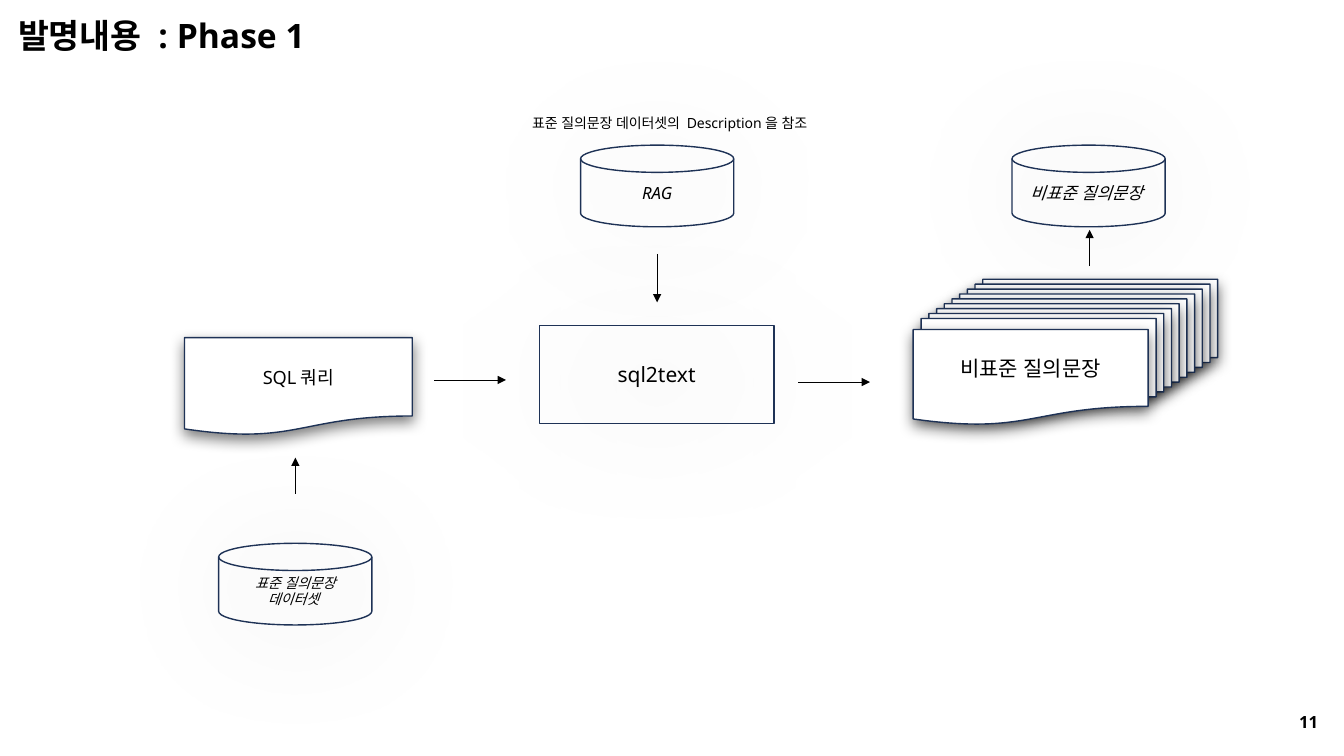
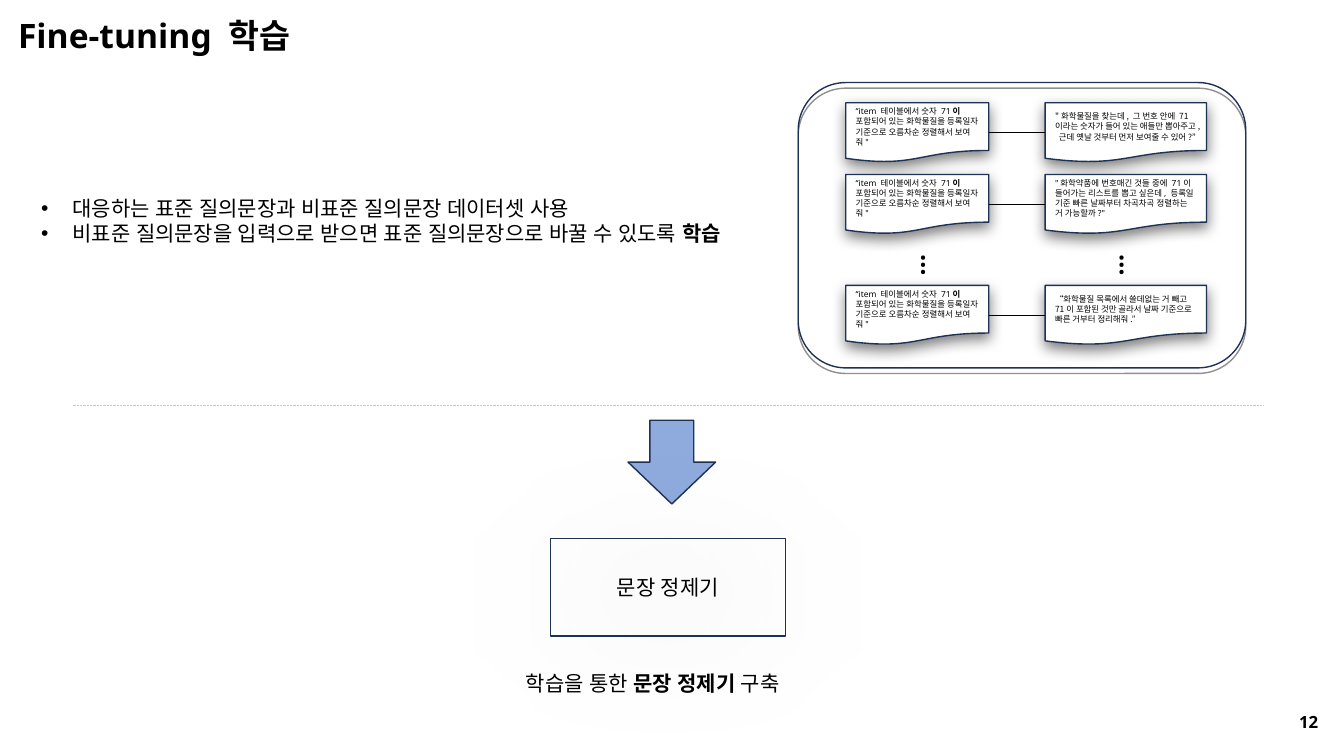
from pptx import Presentation
from pptx.dml.color import RGBColor
from pptx.enum.dml import MSO_LINE
from pptx.enum.shapes import MSO_CONNECTOR, MSO_SHAPE
from pptx.enum.text import MSO_ANCHOR, PP_ALIGN
from pptx.oxml.ns import qn
from pptx.util import Pt
from lxml.etree import SubElement

INK, NAVY, PAPER, ARROW_BLUE, RULE_GREY = "000000", "1E3256", "FFFFFF", "8FAADC", "C9C9C9"
SANS, CJK = "Noto Sans", "Noto Sans CJK KR"
HALO, DROP, EDGE = (43, 100), (50, 10), (43, 0)
DISK_SIZE, BOX_SIZE = (109.4, 58.3), (167.8, 69.8)

STANDARD_QUERY = [
    ("“item 테이블에서 숫자 71", False),
    ("이 ", True),
    ("포함되어 있는 화학물질을 등록일자 기준으로 오름차순 정렬해서 보여줘\"", False),
]
TRAINING_PAIRS = [
    (14.4, CJK, "\"화학물질을 찾는데, 그 번호 안에 71이라는 숫자가 들어 있는 애들만 뽑아주고, "
                "근데 옛날 것부터 먼저 보여줄 수 있어?”"),
    (65.6, SANS, "\"화학약품에 번호매긴 것들 중에 71이 들어가는 리스트를 뽑고 싶은데, "
                 "등록일 기준 빠른 날짜부터 차곡차곡 정렬하는 거 가능할까?\""),
    (144.8, CJK, "“화학물질 목록에서 쓸데없는 거 빼고  71이 포함된 것만 골라서 "
                 "날짜 기준으로 빠른 거부터 정리해줘.”"),
]


def color(value):
    return RGBColor.from_string(value)


def write(frame, paragraphs, size, align=PP_ALIGN.LEFT, font=SANS, bold=False, italic=False):
    for index, runs in enumerate(paragraphs):
        paragraph = frame.paragraphs[0] if index == 0 else frame.add_paragraph()
        paragraph.alignment = align
        for words, strong in [(runs, bold)] if isinstance(runs, str) else runs:
            run = paragraph.add_run()
            run.text = words
            formats = {"name": font, "size": Pt(size), "bold": strong, "italic": italic}
            for key, value in formats.items():
                setattr(run.font, key, value)
            run.font.color.rgb = color(INK)
            SubElement(run.font._element, qn("a:ea"), typeface=font)


def add_text(slide, box, paragraphs, size, wrap=True, **style):
    frame = slide.shapes.add_textbox(*map(Pt, box)).text_frame
    frame.word_wrap = wrap
    write(frame, paragraphs, size, **style)
    return frame


def add_figure(slide, preset, box, fill=None, shadow=None, paragraphs=(), size=15,
               align=PP_ALIGN.CENTER, **style):
    figure = slide.shapes.add_shape(preset, *map(Pt, box))
    figure.shadow.inherit = False
    if fill:
        figure.fill.solid()
        figure.fill.fore_color.rgb = color(fill)
    else:
        figure.fill.background()
    figure.line.color.rgb = color(NAVY)
    figure.line.width = Pt(1)
    if shadow:
        opacity, blur = shadow
        effects = figure._element.spPr.find(qn("a:effectLst"))
        outer = SubElement(effects, qn("a:outerShdw"), blurRad=str(Pt(blur)), dist=str(Pt(4)),
                           dir="5400000", algn="ctr", rotWithShape="0")
        tone = SubElement(outer, qn("a:srgbClr"), val=INK)
        SubElement(tone, qn("a:alpha"), val=str(opacity * 1000))
    figure.text_frame.word_wrap = True
    figure.text_frame.vertical_anchor = MSO_ANCHOR.MIDDLE
    write(figure.text_frame, paragraphs, size, align, **style)


def add_disk(slide, left, top, paragraphs, size):
    add_figure(slide, MSO_SHAPE.FLOWCHART_MAGNETIC_DISK, (left, top, *DISK_SIZE),
               shadow=HALO, paragraphs=paragraphs, size=size, italic=True)


def add_document(slide, box, paragraphs=(), size=15, **style):
    add_figure(slide, MSO_SHAPE.FLOWCHART_DOCUMENT, box, PAPER, DROP, paragraphs, size, **style)


def add_process(slide, left, top, label):
    add_figure(slide, MSO_SHAPE.RECTANGLE, (left, top, *BOX_SIZE), shadow=HALO, paragraphs=[label])


def add_line(slide, start, end, tone=INK, arrow=False, dash=None):
    link = slide.shapes.add_connector(MSO_CONNECTOR.STRAIGHT, *map(Pt, (*start, *end)))
    link.line.color.rgb = color(tone)
    link.line.width = Pt(0.5)
    if dash:
        link.line.dash_style = dash
    if arrow:
        SubElement(link.line._get_or_add_ln(), qn("a:tailEnd"), type="triangle")
    SubElement(link._element.spPr, qn("a:effectLst"))


def add_document_stack(slide, left, top, label):
    width, height = BOX_SIZE
    for depth in range(9, 0, -1):
        add_document(slide, (left + 2.5 + 5.5 * (depth - 1) + 3.2, top - 5.9 - 3.5 * (depth - 1) - 2,
                             width, height))
    add_document(slide, (left, top, width, 68.4), [label])


def add_training_panel(slide, left, top, width, height):
    add_figure(slide, MSO_SHAPE.ROUNDED_RECTANGLE, (left, top, width, height), shadow=EDGE)
    standard, casual = left + 33.9, left + 176.4
    standard_width, casual_width, card_height = 102.2, 115.2, 42.5
    for offset, font, question in TRAINING_PAIRS:
        card_top = top + offset
        middle = card_top + card_height / 2
        add_document(slide, (standard, card_top, standard_width, card_height), [STANDARD_QUERY],
                     6, align=PP_ALIGN.LEFT)
        add_document(slide, (casual, card_top, casual_width, card_height), [question],
                     6, align=PP_ALIGN.LEFT, font=font)
        add_line(slide, (standard + standard_width, middle), (casual, middle))
    for dots_left in (left + 73.5, left + 215.3):
        dots = add_text(slide, (dots_left, top + 115.5, 36, 23), ["…"], 18, wrap=False, bold=True)
        dots._txBody.bodyPr.set("vert", "eaVert")


def add_bullets(slide, box, items):
    frame = add_text(slide, box, items, 15)
    for paragraph in frame.paragraphs:
        properties = paragraph._p.get_or_add_pPr()
        for key, value in {"marL": Pt(22.5), "indent": -Pt(22.5)}.items():
            properties.set(key, str(value))
        SubElement(properties, qn("a:buFont"), typeface="Arial")
        SubElement(properties, qn("a:buChar"), char="•")


def new_slide(deck, title, number):
    slide = deck.slides.add_slide(deck.slide_layouts[6])
    add_text(slide, (5.8, 7.2, 232.6, 36), [title], 24, bold=True)
    add_text(slide, (920.9, 504.7, 33.8, 21.6), [number], 12, bold=True)
    return slide


def build_phase(deck):
    slide = new_slide(deck, "발명내용 : Phase 1", "11")
    add_disk(slide, 156.2, 388.1, ["표준 질의문장", "데이터셋 "], 10)
    add_disk(slide, 414.7, 103.7, ["RAG"], 12)
    add_disk(slide, 722.9, 103.7, ["비표준 질의문장 "], 12)
    add_text(slide, (373, 78.5, 219.6, 19.4), ["표준 질의문장 데이터셋의 Description을 참조"], 10)
    add_document(slide, (131.8, 241.2, 162.7, 69.8), ["SQL쿼리"], 13)
    add_process(slide, 385.2, 232.6, "sql2text")
    add_document_stack(slide, 652.3, 235.4, "비표준 질의문장")
    for start, end in [
        ((211, 352.8), (211, 326.9)),
        ((310.3, 271.4), (361.4, 271.4)),
        ((469.4, 181.4), (469.4, 216)),
        ((570.2, 272.9), (621.4, 272.9)),
        ((778.3, 190.1), (778.3, 164.2)),
    ]:
        add_line(slide, start, end, arrow=True)


def build_training(deck):
    slide = new_slide(deck, "Fine-tuning 학습", "12")
    add_bullets(slide, (22.3, 136.1, 543.6, 62), [
        "대응하는 표준 질의문장과 비표준 질의문장 데이터셋 사용",
        [("비표준 질의문장을 입력으로 받으면 표준 질의문장으로 바꿀 수 있도록 ", False), ("학습", True)],
    ])
    add_training_panel(slide, 570.2, 59, 319.7, 203.8)
    add_line(slide, (51.8, 289.4), (902.2, 289.4), RULE_GREY, dash=MSO_LINE.ROUND_DOT)
    add_figure(slide, MSO_SHAPE.DOWN_ARROW, (448.6, 300.2, 62.6, 59.8), ARROW_BLUE)
    add_process(slide, 393.1, 384.5, "문장 정제기")
    add_text(slide, (368.6, 475.2, 222.5, 25.2),
             [[("학습을 통한 ", False), ("문장 정제기 ", True), ("구축", False)]], 15)


def main():
    deck = Presentation()
    deck.slide_width, deck.slide_height = Pt(960), Pt(540)
    build_phase(deck)
    build_training(deck)
    deck.save("out.pptx")


if __name__ == "__main__":
    main()
